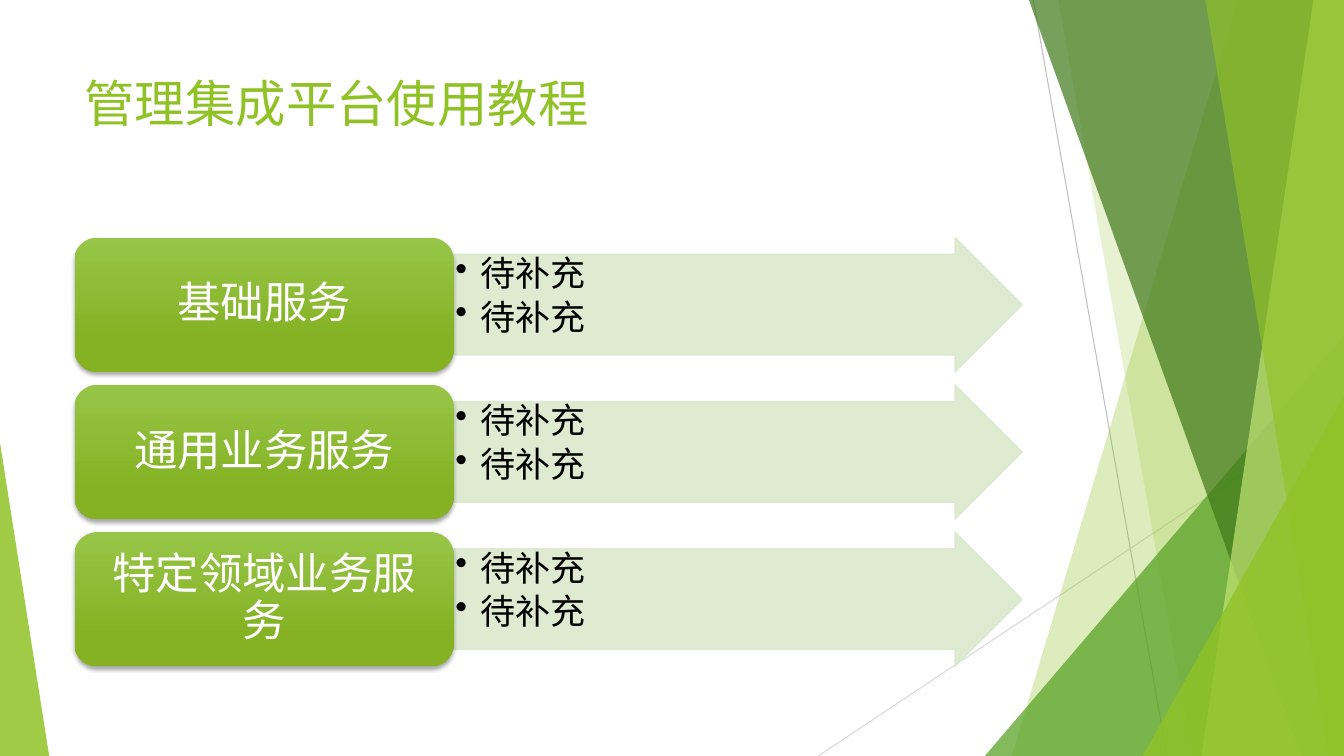
from lxml.etree import SubElement as Sub
from pptx import Presentation
from pptx.dml.color import RGBColor as Rgb
from pptx.enum.shapes import MSO_CONNECTOR as Link, MSO_SHAPE as Shape
from pptx.enum.text import MSO_ANCHOR as Anchor, PP_ALIGN as Align
from pptx.oxml.ns import qn
from pptx.util import Cm, Pt

WIDE, HIGH = 33.87, 19.05
FONT = "Karla"
HUES = {
    "lime": "90C226", "green": "54A021", "dark": "3F7819", "pale": "C0E474",
    "mist": "DBE9CD", "top": "97C547", "base": "84B223",
    "gray": "BFBFBF", "light": "D9D9D9", "black": "000000", "white": "FFFFFF",
}
TOPICS = ["基础服务", "通用业务服务", "特定领域业务服务"]
POINTS = ["待补充", "待补充"]


def hue(name):
    return Rgb.from_string(HUES[name])


def fade(shape, alpha):
    """Give every solid colour of the shape an opacity in percent."""
    for clr in shape.element.spPr.iter(qn("a:srgbClr")):
        Sub(clr, qn("a:alpha"), val=str(alpha * 1000))


class Deck:
    def __init__(self):
        self.prs = Presentation()
        self.prs.slide_width, self.prs.slide_height = Cm(WIDE), Cm(HIGH)
        self.slide = self.prs.slides.add_slide(self.prs.slide_layouts[6])
        self.shapes = self.slide.shapes

    def line(self, x1, y1, x2, y2, color):
        line = self.shapes.add_connector(
            Link.STRAIGHT, Cm(x1), Cm(y1), Cm(x2), Cm(y2))
        line.line.color.rgb = hue(color)
        line.line.width = Pt(0.75)
        Sub(line.element.spPr, qn("a:effectLst"))

    def paint(self, shape, color, alpha):
        shape.shadow.inherit = False
        shape.fill.solid()
        shape.fill.fore_color.rgb = hue(color)
        shape.line.fill.background()
        fade(shape, alpha)

    def band(self, top, foot, color, alpha):
        """Full-height facet from a slanted left edge to the slide's right edge."""
        pen = self.shapes.build_freeform(Cm(top), 0, scale=1.0)
        pen.add_line_segments(
            [(Cm(WIDE), 0), (Cm(WIDE), Cm(HIGH)), (Cm(foot), Cm(HIGH))], close=True)
        self.paint(pen.convert_to_shape(), color, alpha)

    def wedge(self, x, y, w, tip, color, alpha):
        """Triangle standing on the slide's bottom edge."""
        shape = self.shapes.add_shape(
            Shape.ISOSCELES_TRIANGLE, Cm(x), Cm(y), Cm(w), Cm(HIGH - y))
        shape.adjustments[0] = tip
        self.paint(shape, color, alpha)

    def label(self, frame, texts, size, color, pad, align=Align.LEFT,
              anchor=Anchor.TOP, bullet=False):
        frame.word_wrap = True
        frame.vertical_anchor = anchor
        frame.margin_left = frame.margin_right = Cm(pad[0])
        frame.margin_top = frame.margin_bottom = Cm(pad[1])
        for i, text in enumerate(texts):
            para = frame.add_paragraph() if i else frame.paragraphs[0]
            para.text = text
            para.alignment = align
            para.line_spacing = 0.9
            if bullet:
                para.space_after = Pt(4)
                props = para._p.get_or_add_pPr()
                props.set("marL", str(Cm(0.64)))
                props.set("indent", str(Cm(-0.64)))
                Sub(props, qn("a:buChar"), char="•")
            font = para.font
            font.name, font.size, font.color.rgb = FONT, Pt(size), hue(color)

    def title(self, text, x, y, w, h):
        box = self.shapes.add_textbox(Cm(x), Cm(y), Cm(w), Cm(h))
        self.label(box.text_frame, [text], 36, "lime", (0.25, 0.13))
        box.text_frame.paragraphs[0].line_spacing = 1.0

    def arrow(self, texts, x, y, w, h):
        shape = self.shapes.add_shape(Shape.RIGHT_ARROW, Cm(x), Cm(y), Cm(w), Cm(h))
        shape.adjustments[0] = 0.75
        shape.adjustments[1] = 0.5
        shape.shadow.inherit = False
        shape.fill.solid()
        shape.fill.fore_color.rgb = shape.line.color.rgb = hue("mist")
        shape.line.width = Pt(1)
        fade(shape, 90)
        self.label(shape.text_frame, texts, 25, "black", (0.05, 0.05), bullet=True)

    def card(self, text, x, y, w, h):
        shape = self.shapes.add_shape(
            Shape.ROUNDED_RECTANGLE, Cm(x), Cm(y), Cm(w), Cm(h))
        shape.line.fill.background()
        shape.fill.gradient()
        shape.fill.gradient_angle = 270
        for stop, color, pos in zip(
                shape.fill.gradient_stops, ("top", "base"), (0, 0.78)):
            stop.color.rgb, stop.position = hue(color), pos
        shape.shadow.inherit = False
        glow = Sub(shape.element.spPr.find(qn("a:effectLst")), qn("a:outerShdw"),
                   blurRad=str(Pt(3)), dist=str(Pt(2)), dir="5400000", rotWithShape="0")
        tint = Sub(glow, qn("a:srgbClr"), val=HUES["black"])
        Sub(tint, qn("a:alpha"), val="35000")
        self.label(shape.text_frame, [text], 31, "white", (0.33, 0.15),
                   Align.CENTER, Anchor.MIDDLE)


def main():
    deck = Deck()
    deck.line(26.04, 0, 29.41, HIGH, "gray")
    deck.line(WIDE, 10.24, 20.62, HIGH, "light")
    deck.band(31.19, 25.5, "lime", 30)
    deck.band(26.67, 30.05, "lime", 20)
    deck.wedge(24.82, 8.46, 9.05, 1, "green", 72)
    deck.band(25.93, 32.79, "dark", 70)
    deck.band(33.1, 30.28, "pale", 70)
    deck.band(30.38, 33.48, "lime", 65)
    deck.wedge(28.8, 9.98, 5.07, 1, "lime", 80)
    deck.wedge(0, 11.15, 1.24, 0, "lime", 85)

    left, wide, high = 1.88, 9.55, 3.38
    deck.title("管理集成平台使用教程", left, 1.7, 23.88, 3.66)
    for row, topic in enumerate(TOPICS):
        y = 5.99 + row * 3.71
        deck.arrow(POINTS, left + wide, y, 14.33, high)
        deck.card(topic, left, y, wide, high)
    deck.prs.save("out.pptx")


if __name__ == "__main__":
    main()
